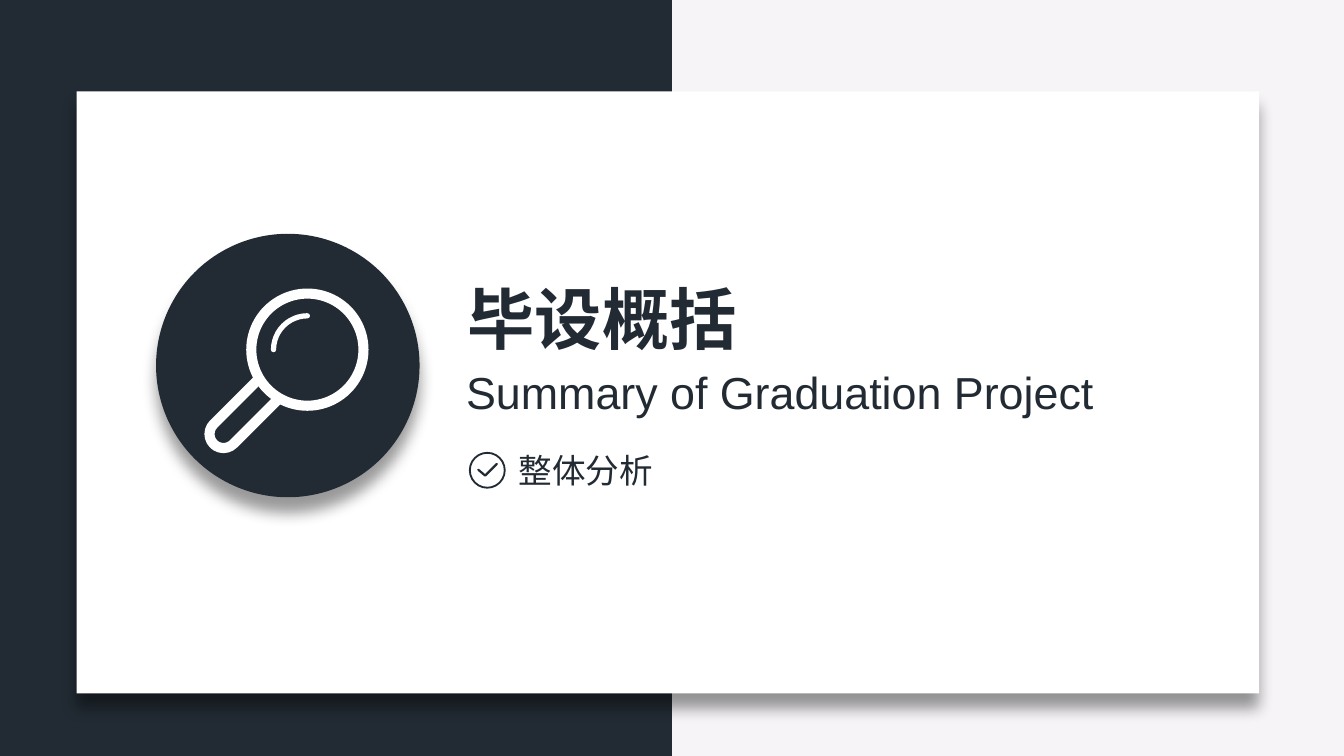
from lxml import etree
from pptx import Presentation
from pptx import util as u
from pptx.dml.color import RGBColor
from pptx.enum import shapes, text
from pptx.oxml import ns

NAVY = RGBColor(0x22, 0x2B, 0x34)
PALE = RGBColor(0xF6, 0xF4, 0xF7)
WHITE = RGBColor(0xFF, 0xFF, 0xFF)
LATIN, CHINESE = "Arial", "Noto Sans CJK SC"
WIDTH, HEIGHT = 25.4, 14.29
Kind = shapes.MSO_SHAPE


class SlideBuilder:
    """Holds the slide and its style; lengths are in centimetres."""

    def __init__(self, slide, ink):
        self.slide, self.ink = slide, ink

    def background(self, color):
        fill = self.slide.background.fill
        fill.solid()
        fill.fore_color.rgb = color

    def paint(self, sp, fill=None, line=None, weight=1):
        sp.shadow.inherit = False
        if fill is None:
            sp.fill.background()
        else:
            sp.fill.solid()
            sp.fill.fore_color.rgb = fill
        if line is None:
            sp.line.fill.background()
        else:
            sp.line.color.rgb = line
            sp.line.width = u.Pt(weight)
            sp.line._get_or_add_ln().set("cap", "rnd")
        return sp

    def shape(self, kind, x, y, w, h, **style):
        sp = self.slide.shapes.add_shape(kind, u.Cm(x), u.Cm(y), u.Cm(w), u.Cm(h))
        return self.paint(sp, **style)

    def circle(self, cx, cy, r, kind=Kind.OVAL, **style):
        return self.shape(kind, cx - r, cy - r, 2 * r, 2 * r, **style)

    def polyline(self, points, **style):
        points = [(u.Cm(x), u.Cm(y)) for x, y in points]
        builder = self.slide.shapes.build_freeform(*points[0])
        builder.add_line_segments(points[1:], close=False)
        return self.paint(builder.convert_to_shape(), **style)

    def drop_shadow(self, sp):
        effects = sp._element.spPr.find(ns.qn("a:effectLst"))
        shadow = etree.SubElement(
            effects, ns.qn("a:outerShdw"), blurRad=str(u.Pt(8)),
            dist=str(u.Pt(8)), dir="5400000", algn="t", rotWithShape="0")
        color = etree.SubElement(shadow, ns.qn("a:srgbClr"), val="000000")
        etree.SubElement(color, ns.qn("a:alpha"), val="40000")

    def label(self, words, x, y, w, h, size, font, bold=False,
              align=text.PP_ALIGN.LEFT):
        tf = self.slide.shapes.add_textbox(
            u.Cm(x), u.Cm(y), u.Cm(w), u.Cm(h)).text_frame
        tf.word_wrap = False
        tf.text = words
        p = tf.paragraphs[0]
        p.alignment = align
        r = p.runs[0]
        r.font.size, r.font.name, r.font.bold = u.Pt(size), font, bold
        r.font.color.rgb = self.ink
        etree.SubElement(r._r.get_or_add_rPr(), ns.qn("a:ea"), typeface=font)


prs = Presentation()
prs.slide_width, prs.slide_height = u.Cm(WIDTH), u.Cm(HEIGHT)
s = SlideBuilder(prs.slides.add_slide(prs.slide_layouts[6]), NAVY)

# Split background and card
s.background(PALE)
s.shape(Kind.RECTANGLE, 0, 0, WIDTH / 2, HEIGHT, fill=NAVY)
card = s.shape(Kind.RECTANGLE, 1.45, 1.73, 22.35, 11.38, fill=WHITE)
badge = s.circle(5.44, 6.91, 2.49, fill=NAVY)
for raised in (card, badge):
    s.drop_shadow(raised)

# Magnifier: the lens covers the upper end of the handle
lens_x, lens_y = 5.81, 6.61
handle = s.shape(Kind.ROUNDED_RECTANGLE, 3.74, 7.41, 2.03, 0.53,
                 fill=NAVY, line=WHITE, weight=5.4)
handle.adjustments[0] = 0.5
handle.rotation = -45
s.circle(lens_x, lens_y, 1.06, fill=NAVY, line=WHITE, weight=5.4)
glint = s.circle(lens_x, lens_y, 0.64, kind=Kind.ARC, line=WHITE, weight=2.8)
glint.adjustments[0], glint.adjustments[1] = 108, 162  # 180 to 270 degrees

# Headings
s.label("毕设概括", 8.56, 5.11, 5.64, 3.33, 36, CHINESE, bold=True,
        align=text.PP_ALIGN.CENTER)
s.label("Summary of Graduation Project", 8.56, 6.76, 12.4, 1.27, 24, LATIN)

# Checked item
s.circle(9.21, 8.89, 0.33, line=NAVY, weight=1)
s.polyline([(9.04, 8.88), (9.17, 8.99), (9.39, 8.77)], line=NAVY, weight=1.2)
s.label("整体分析", 9.55, 8.38, 3.07, 1.02, 18, CHINESE)

prs.save("out.pptx")
